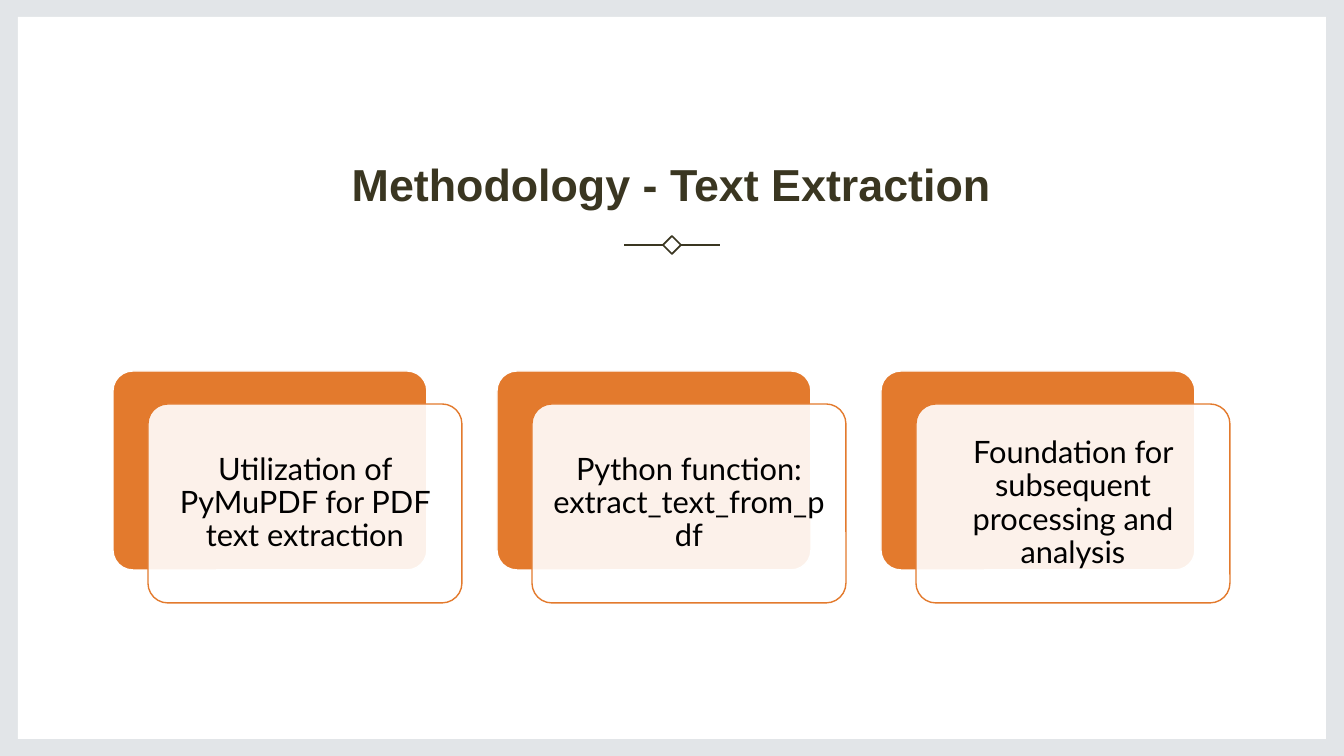
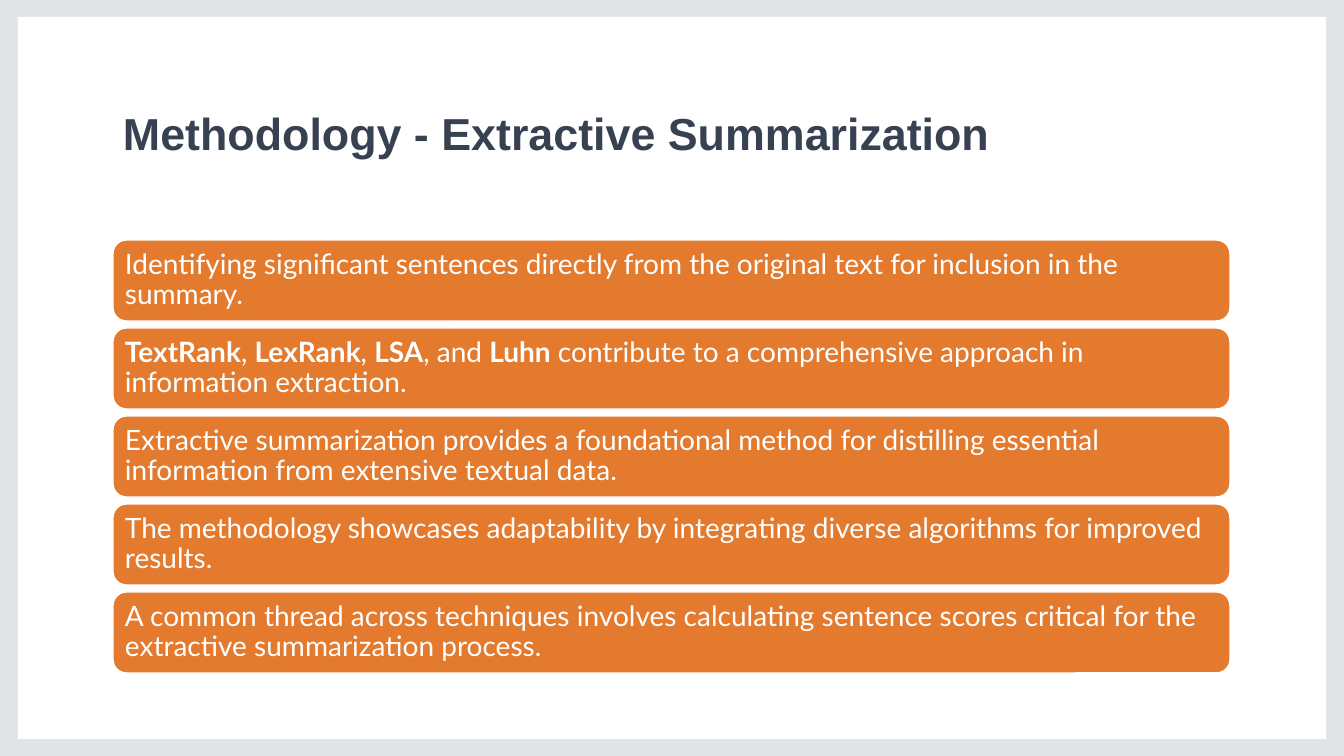
from dataclasses import dataclass
from typing import Any

from pptx import Presentation
from pptx.dml.color import RGBColor
from pptx.enum.shapes import MSO_CONNECTOR as Connector, MSO_SHAPE as Preset
from pptx.enum.text import MSO_ANCHOR as Anchor, PP_ALIGN as Align
from pptx.oxml.ns import qn
from pptx.oxml.xmlchemy import OxmlElement
from pptx.util import Emu, Pt

EMU_PER_PX = 914400 / 100.8
SLIDE_WIDTH, SLIDE_HEIGHT = 1344, 756
CONTENT_LEFT, CONTENT_WIDTH = 113, 1117
COLORS = {
    "frame": "E2E5E8",
    "white": "FFFFFF",
    "black": "000000",
    "accent": "E37A2D",
    "olive": "3A3621",
    "slate": "374151",
}


def px(value: int) -> Emu:
    return Emu(round(value * EMU_PER_PX))


def color(name: str) -> RGBColor:
    return RGBColor.from_string(COLORS[name])


def set_attributes(target: Any, values: dict[str, Any]) -> None:
    for name, value in values.items():
        setattr(target, name, value)


@dataclass(frozen=True)
class Box:
    left: int
    top: int
    width: int
    height: int

    def shifted(self, right: int, down: int) -> "Box":
        return Box(self.left + right, self.top + down, self.width, self.height)

    def emu(self) -> tuple[Emu, ...]:
        return tuple(px(v) for v in (self.left, self.top, self.width, self.height))


@dataclass(frozen=True)
class TextStyle:
    font: str
    size: int
    color: str
    spacing: float
    align: Align = Align.LEFT
    anchor: Anchor = Anchor.MIDDLE
    inset: int = 8
    bold: bool = False


@dataclass(frozen=True)
class ShapeStyle:
    fill: str | None = None
    line: str | None = None
    line_width: float = 1
    opacity: int = 100
    radius: float | None = None


CARD_TEXT = TextStyle("Lato", 22, "black", 0.9, Align.CENTER, inset=9)
ROW_TEXT = TextStyle("Lato", 20, "white", 0.9)
PANEL = ShapeStyle("white")
CARD_BACK = ShapeStyle("accent", "white", radius=0.1)
CARD_FRONT = ShapeStyle("white", "accent", opacity=90, radius=0.1)
ROW = ShapeStyle("accent", "white")
ORNAMENT = ShapeStyle(line="olive", line_width=1.25)

CARDS = [
    "Utilization of PyMuPDF for PDF text extraction",
    "Python function: extract_text_from_pdf",
    "Foundation for subsequent processing and analysis",
]
ROWS = [
    "Identifying significant sentences directly from the original text for inclusion in the summary.",
    "*TextRank*, *LexRank*, *LSA*, and *Luhn* contribute to a comprehensive approach in information extraction.",
    "Extractive summarization provides a foundational method for distilling essential information from extensive textual data.",
    "The methodology showcases adaptability by integrating diverse algorithms for improved results.",
    "A common thread across techniques involves calculating sentence scores critical for the extractive summarization process.",
]


def write_text(shape: Any, text: str, style: TextStyle) -> None:
    frame = shape.text_frame
    inset = px(style.inset)
    set_attributes(frame, {
        "word_wrap": True,
        "vertical_anchor": style.anchor,
        "margin_left": inset,
        "margin_right": inset,
        "margin_top": inset,
        "margin_bottom": inset,
    })
    paragraph = frame.paragraphs[0]
    set_attributes(paragraph, {"alignment": style.align, "line_spacing": style.spacing})
    for index, part in enumerate(text.split("*")):
        if not part:
            continue
        run = paragraph.add_run()
        run.text = part
        set_attributes(run.font, {
            "name": style.font,
            "size": Pt(style.size),
            "bold": style.bold or index % 2 == 1,
        })
        run.font.color.rgb = color(style.color)


def add_shape(slide: Any, preset: Preset, box: Box, style: ShapeStyle) -> Any:
    shape = slide.shapes.add_shape(preset, *box.emu())
    shape.shadow.inherit = False
    if style.fill:
        shape.fill.solid()
        shape.fill.fore_color.rgb = color(style.fill)
    else:
        shape.fill.background()
    if style.opacity < 100:
        alpha = OxmlElement("a:alpha")
        alpha.set("val", str(style.opacity * 1000))
        shape.element.spPr.find(qn("a:solidFill"))[0].append(alpha)
    if style.line:
        shape.line.color.rgb = color(style.line)
        shape.line.width = Pt(style.line_width)
    else:
        shape.line.fill.background()
    if style.radius is not None:
        shape.adjustments[0] = style.radius
    return shape


def add_rule(slide: Any, start: int, end: int, y: int, style: ShapeStyle) -> None:
    rule = slide.shapes.add_connector(Connector.STRAIGHT, px(start), px(y), px(end), px(y))
    rule.line.color.rgb = color(style.line)
    rule.line.width = Pt(style.line_width)
    rule.element.spPr.append(OxmlElement("a:effectLst"))


def add_framed_slide(presentation: Any, title: str, title_bottom: int,
                     title_color: str, align: Align) -> Any:
    slide = presentation.slides.add_slide(presentation.slide_layouts[6])
    slide.background.fill.solid()
    slide.background.fill.fore_color.rgb = color("frame")
    add_shape(slide, Preset.RECTANGLE, Box(18, 17, 1308, 722), PANEL)
    height = 90
    box = Box(CONTENT_LEFT, title_bottom - height, CONTENT_WIDTH, height)
    style = TextStyle("Arial", 32, title_color, 1.1, align, Anchor.BOTTOM, 10, True)
    write_text(slide.shapes.add_textbox(*box.emu()), title, style)
    return slide


def add_ornament(slide: Any, center_y: int) -> None:
    center_x, half_diamond, half_width = SLIDE_WIDTH // 2, 9, 48
    size = 2 * half_diamond
    diamond = Box(center_x - half_diamond, center_y - half_diamond, size, size)
    add_shape(slide, Preset.DIAMOND, diamond, ORNAMENT)
    for side in (-1, 1):
        add_rule(slide, center_x + side * half_diamond, center_x + side * half_width,
                 center_y, ORNAMENT)


def build_text_extraction(presentation: Any) -> None:
    slide = add_framed_slide(presentation, "Methodology - Text Extraction", 220,
                             "olive", Align.CENTER)
    add_ornament(slide, 245)
    first_card = Box(CONTENT_LEFT, 371, 314, 199)
    pitch = 384
    for index, text in enumerate(CARDS):
        back = first_card.shifted(index * pitch, 0)
        add_shape(slide, Preset.ROUNDED_RECTANGLE, back, CARD_BACK)
        front = add_shape(slide, Preset.ROUNDED_RECTANGLE, back.shifted(35, 33), CARD_FRONT)
        write_text(front, text, CARD_TEXT)


def build_extractive_summarization(presentation: Any) -> None:
    slide = add_framed_slide(presentation, "Methodology - Extractive Summarization", 169,
                             "slate", Align.LEFT)
    first_row = Box(CONTENT_LEFT, 240, CONTENT_WIDTH, 81)
    pitch = 88
    for index, text in enumerate(ROWS):
        row = add_shape(slide, Preset.ROUNDED_RECTANGLE,
                        first_row.shifted(0, index * pitch), ROW)
        write_text(row, text, ROW_TEXT)


def main() -> None:
    presentation = Presentation()
    set_attributes(presentation, {
        "slide_width": px(SLIDE_WIDTH),
        "slide_height": px(SLIDE_HEIGHT),
    })
    build_text_extraction(presentation)
    build_extractive_summarization(presentation)
    presentation.save("out.pptx")


if __name__ == "__main__":
    main()
